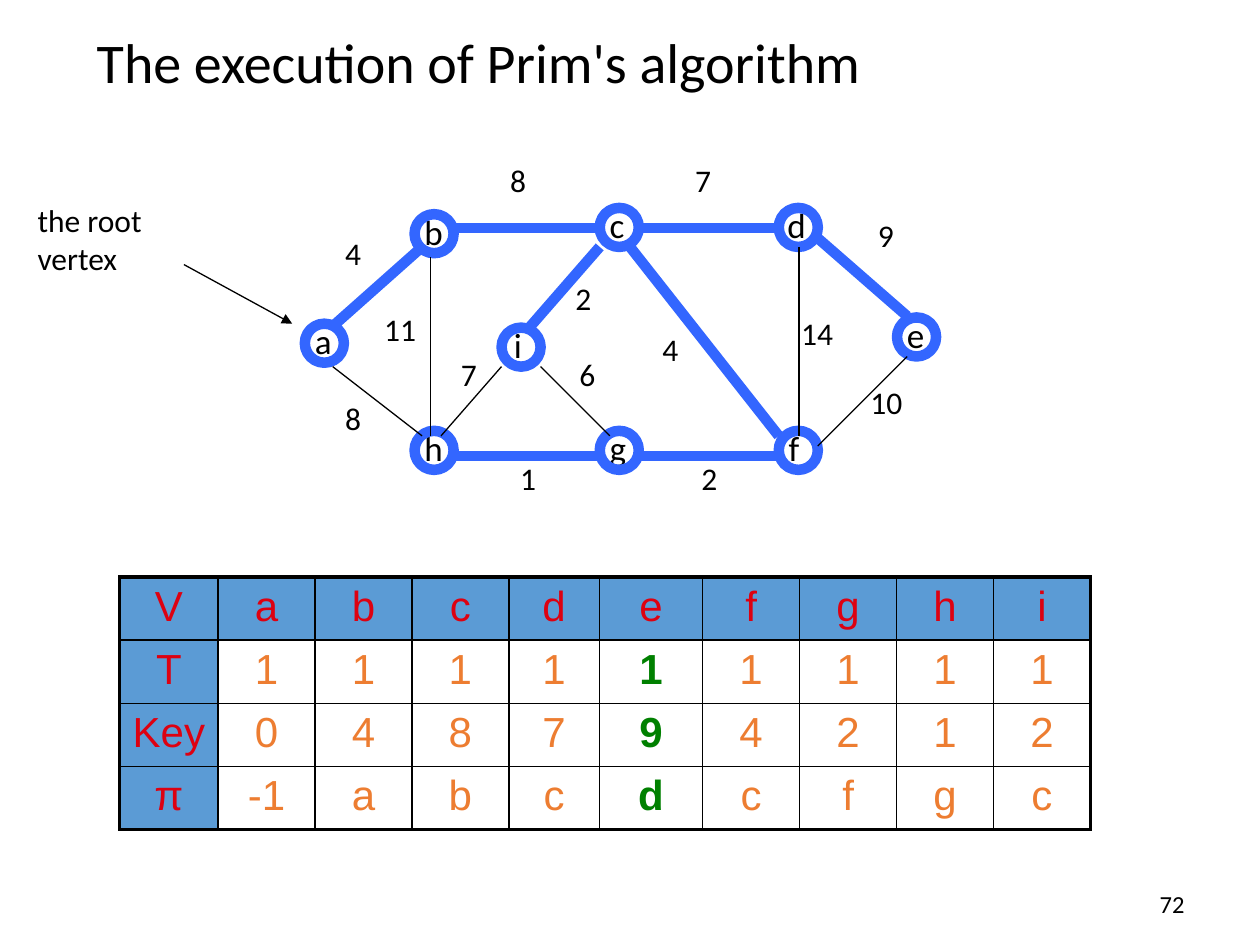
"""Builds a slide showing one step of Prim's algorithm as a graph with its state table."""
from dataclasses import dataclass

from lxml import etree
from pptx import Presentation
from pptx.dml.color import RGBColor
from pptx.enum.shapes import MSO_CONNECTOR, MSO_SHAPE
from pptx.enum.text import MSO_ANCHOR, PP_ALIGN
from pptx.oxml.ns import qn
from pptx.util import Pt

STRAIGHT = MSO_CONNECTOR.STRAIGHT
OVAL = MSO_SHAPE.OVAL
TOP, MIDDLE = MSO_ANCHOR.TOP, MSO_ANCHOR.MIDDLE
LEFT, CENTER, RIGHT = PP_ALIGN.LEFT, PP_ALIGN.CENTER, PP_ALIGN.RIGHT


@dataclass(frozen=True)
class Theme:
    """Colours, fonts, type sizes and line widths."""
    black: str = "000000"
    tree: str = "3366FF"
    header_fill: str = "5B9BD5"
    header_text: str = "DD0111"
    value_text: str = "ED7D31"
    current_text: str = "008000"
    body_font: str = "Calibri"
    table_font: str = "Arial"
    title_size: float = 32
    table_size: float = 24
    node_size: float = 20
    label_size: float = 18
    number_size: float = 14
    tree_line: float = 6
    thin_line: float = 0.75
    outer_border: float = 2.25
    inner_border: float = 1


THEME = Theme()

TITLE = ("The execution of Prim's algorithm", 48.2, 12.2, 617.8, 46.1)
ROOT_NOTE = ("the root vertex", 14.4, 111.6, 96.5, 64.8)
SLIDE_NUMBER = ("72", 516.2, 504, 167.8, 25.2)
ROOT_ARROW = ((105.1, 151.2), (167, 185))

NODE_DIAMETER = 22.3
NODE_LABEL_RISE = 5.8
NODE_LABEL_HEIGHT = 31
NODES = [  # name, ring left, ring top, label left, label width
    ("a", 174.2, 185, 172.8, 25.9),
    ("b", 236.9, 122.4, 235.4, 25.9),
    ("h", 236.9, 246.2, 235.4, 25.9),
    ("c", 342.7, 118.8, 341.3, 24.5),
    ("d", 445, 118.8, 442.8, 25.9),
    ("e", 512.6, 181.4, 511.2, 25.9),
    ("f", 445, 246.2, 443.5, 20.2),
    ("g", 342.7, 246.2, 341.3, 25.9),
    ("i", 286.6, 187.2, 286.6, 20.2),
]

WEIGHT_HEIGHT = 28.8
WEIGHT_WIDTHS = {1: 24.5, 2: 34.6}
EDGES = [  # start, end, in tree, weight, weight position
    ((190.1, 186.5), (241.2, 141.1), True, "4", (190.1, 130.3)),
    ((190.1, 209.5), (241.2, 249.1), False, "8", (190.1, 224.6)),
    ((246.2, 146.9), (246.2, 249.1), False, "11", (212.4, 173.5)),
    ((257.8, 130.3), (342.7, 130.3), True, "8", (284.4, 88.6)),
    ((257.8, 260.6), (342.7, 260.6), True, "1", (290.2, 258.5)),
    ((365.8, 260.6), (445, 260.6), True, "2", (393.8, 258.5)),
    ((360, 141.1), (445, 249.1), True, "4", (371.5, 185)),
    ((365.8, 130.3), (445, 130.3), True, "7", (390.2, 88.6)),
    ((456.5, 141.1), (456.5, 249.1), False, "14", (450.7, 175.7)),
    ((467.3, 136.1), (518.4, 180.7), True, "9", (494.6, 120.2)),
    ((467.3, 254.9), (518.4, 203.8), False, "10", (490.3, 215.3)),
    ((308.9, 209.5), (348.5, 249.1), False, "6", (324, 199.4)),
    ((252, 249.1), (286.6, 209.5), False, "7", (256.3, 199.4)),
    ((303.1, 186.5), (342.7, 141.1), True, "2", (321.8, 156.2)),
]

TABLE_LEFT, TABLE_TOP, ROW_HEIGHT = 68.4, 329.8, 36
COLUMN_WIDTHS = [56.2, 55.4, 55.4, 55.4, 51.8, 59, 55.4, 55.4, 55.4, 55.4]
CURRENT_COLUMN = 5
ROWS = [
    ["V", "a", "b", "c", "d", "e", "f", "g", "h", "i"],
    ["T", "1", "1", "1", "1", "1", "1", "1", "1", "1"],
    ["Key", "0", "4", "8", "7", "9", "4", "2", "1", "2"],
    ["π", "-1", "a", "b", "c", "d", "c", "f", "g", "c"],
]


def style(paragraph, size, font=THEME.body_font, color=THEME.black, align=LEFT, bold=False):
    paragraph.alignment = align
    paragraph.font.size = Pt(size)
    paragraph.font.name = font
    paragraph.font.bold = bold
    paragraph.font.color.rgb = RGBColor.from_string(color)


def add_text(slide, text, left, top, width, height, size, wrap=True, align=LEFT, anchor=TOP):
    shape = slide.shapes.add_textbox(Pt(left), Pt(top), Pt(width), Pt(height))
    frame = shape.text_frame
    frame.word_wrap = wrap
    frame.vertical_anchor = anchor
    frame.text = text
    style(frame.paragraphs[0], size, align=align)


def add_line(slide, start, end, color, width, arrow=False):
    connector = slide.shapes.add_connector(STRAIGHT, *(Pt(value) for value in start + end))
    connector.line.color.rgb = RGBColor.from_string(color)
    connector.line.width = Pt(width)
    if arrow:
        etree.SubElement(connector.line._get_or_add_ln(), qn("a:tailEnd"), type="triangle")
    etree.SubElement(connector._element.spPr, qn("a:effectLst"))


def add_node(slide, name, left, top, label_left, label_width):
    add_text(slide, name, label_left, top - NODE_LABEL_RISE, label_width, NODE_LABEL_HEIGHT,
             THEME.node_size, wrap=False)
    ring = slide.shapes.add_shape(OVAL, Pt(left), Pt(top), Pt(NODE_DIAMETER), Pt(NODE_DIAMETER))
    ring.shadow.inherit = False
    ring.fill.background()
    ring.line.color.rgb = RGBColor.from_string(THEME.tree)
    ring.line.width = Pt(THEME.tree_line)


def add_graph(slide):
    for node in NODES:
        add_node(slide, *node)
    for start, end, in_tree, _, _ in EDGES:
        color, width = (THEME.tree, THEME.tree_line) if in_tree else (THEME.black, THEME.thin_line)
        add_line(slide, start, end, color, width)
    for _, _, _, weight, (left, top) in EDGES:
        add_text(slide, weight, left, top, WEIGHT_WIDTHS[len(weight)], WEIGHT_HEIGHT,
                 THEME.label_size, wrap=False)


def set_borders(cell, row, column):
    outer_sides = {
        "a:lnL": column == 0,
        "a:lnR": column == len(COLUMN_WIDTHS) - 1,
        "a:lnT": row == 0,
        "a:lnB": row == len(ROWS) - 1,
    }
    properties = cell._tc.get_or_add_tcPr()
    for tag, outer in outer_sides.items():
        width = THEME.outer_border if outer else THEME.inner_border
        border = etree.SubElement(properties, qn(tag), w=str(Pt(width)))
        fill = etree.SubElement(border, qn("a:solidFill"))
        etree.SubElement(fill, qn("a:srgbClr"), val=THEME.black)


def fill_cell(cell, text, row, column):
    header = row == 0 or column == 0
    current = column == CURRENT_COLUMN and not header
    set_borders(cell, row, column)
    if header:
        cell.fill.solid()
        cell.fill.fore_color.rgb = RGBColor.from_string(THEME.header_fill)
        color = THEME.header_text
    else:
        cell.fill.background()
        color = THEME.current_text if current else THEME.value_text
    cell.text = text
    style(cell.text_frame.paragraphs[0], THEME.table_size, THEME.table_font, color, CENTER, current)


def add_state_table(slide):
    table = slide.shapes.add_table(
        len(ROWS), len(COLUMN_WIDTHS), Pt(TABLE_LEFT), Pt(TABLE_TOP),
        Pt(sum(COLUMN_WIDTHS)), Pt(ROW_HEIGHT * len(ROWS))).table
    table.first_row = table.horz_banding = False
    for column, width in zip(table.columns, COLUMN_WIDTHS):
        column.width = Pt(width)
    for row, texts in enumerate(ROWS):
        table.rows[row].height = Pt(ROW_HEIGHT)
        for column, text in enumerate(texts):
            fill_cell(table.cell(row, column), text, row, column)


def main():
    presentation = Presentation()
    presentation.slide_width, presentation.slide_height = Pt(720), Pt(540)
    slide = presentation.slides.add_slide(presentation.slide_layouts[6])
    add_text(slide, *SLIDE_NUMBER, THEME.number_size, align=RIGHT, anchor=MIDDLE)
    add_text(slide, *TITLE, THEME.title_size)
    add_text(slide, *ROOT_NOTE, THEME.label_size)
    add_line(slide, *ROOT_ARROW, THEME.black, THEME.thin_line, arrow=True)
    add_state_table(slide)
    add_graph(slide)
    presentation.save("out.pptx")


if __name__ == "__main__":
    main()
